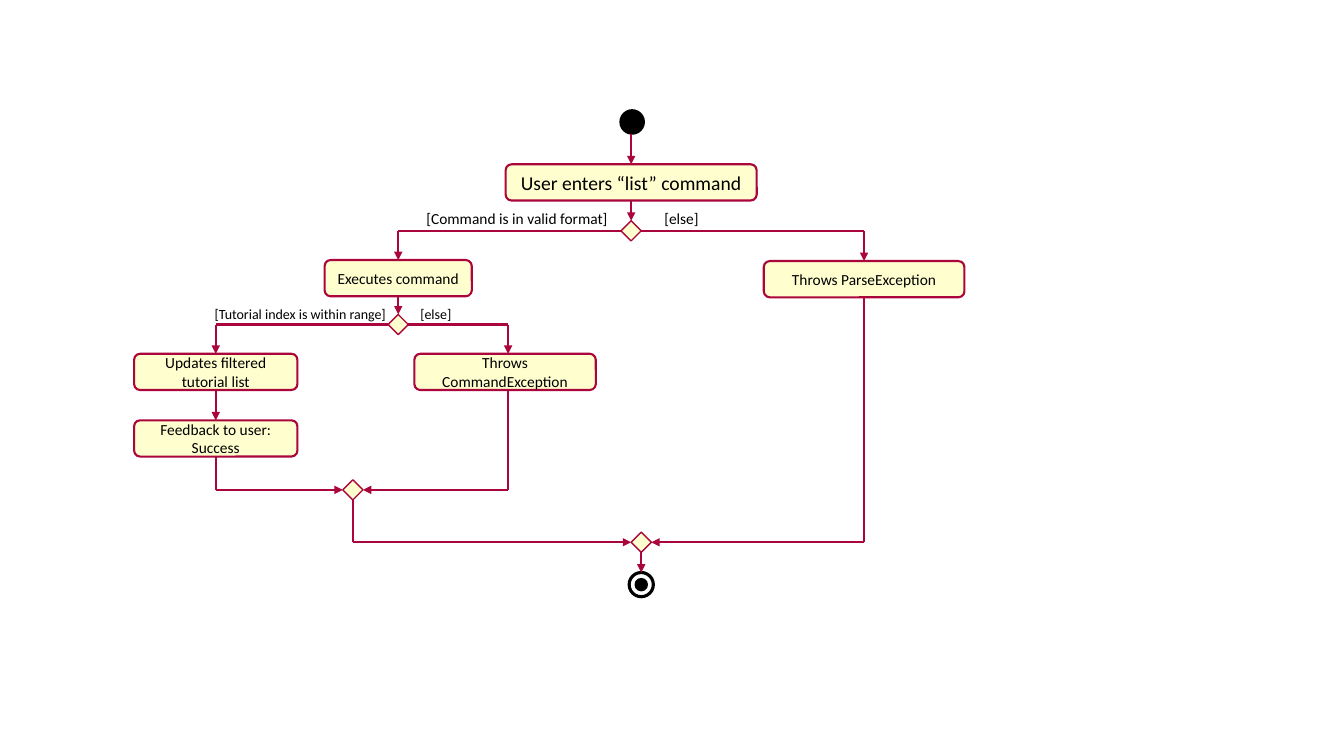
from dataclasses import dataclass
from typing import Any, Optional

from lxml import etree
from pptx import Presentation
from pptx import util as u
from pptx.dml.color import RGBColor
from pptx.enum import shapes as kinds, text
from pptx.oxml.ns import qn

CRIMSON, CREAM, BLACK, WHITE = "AA063B", "FEFECE", "000000", "FFFFFF"
FONT = "Calibri"
TOP, LEFT, BOTTOM, RIGHT = range(4)

# Centre lines of the diagram's grid, in inches
COLUMN = {"success": 2.14, "inner merge": 3.5, "execute": 3.95, "failure": 5.01,
          "failure lane": 5.04, "entry": 6.26, "start": 6.27, "exit": 6.36,
          "parse error": 8.57}
ROW = {"start": 1.21, "input": 1.81, "format check": 2.29, "execution": 2.76,
       "parse error": 2.77, "range check": 3.22, "result": 3.69, "feedback": 4.35,
       "inner merge": 4.86, "outer merge": 5.38, "end": 5.8}
BOX_HEIGHT, DIAMOND_SIZE, CIRCLE_SIZE, DOT_SIZE = 0.36, 0.2, 0.24, 0.12


@dataclass
class Node:
    name: str
    column: str
    row: str
    width: float
    height: float
    kind: Any
    fill: str
    line: str
    line_width: float
    caption: str = ""
    size: int = 11


@dataclass
class Flow:
    source: str
    source_side: int
    target: str
    target_side: int
    lane: Optional[str] = None


@dataclass
class Guard:
    caption: str
    left: float
    top: float
    width: float
    height: float
    size: int


def action(name: str, column: str, row: str, width: float, caption: str, size: int = 11) -> Node:
    return Node(name, column, row, width, BOX_HEIGHT, kinds.MSO_SHAPE.ROUNDED_RECTANGLE,
                CREAM, CRIMSON, 1.5, caption, size)


def diamond(name: str, column: str, row: str) -> Node:
    return Node(name, column, row, DIAMOND_SIZE, DIAMOND_SIZE, kinds.MSO_SHAPE.DIAMOND,
                CREAM, CRIMSON, 1)


def circle(name: str, column: str, row: str, size: float, fill: str,
           line_width: float = 1) -> Node:
    return Node(name, column, row, size, size, kinds.MSO_SHAPE.OVAL, fill, BLACK, line_width)


NODES = [
    circle("start", "start", "start", CIRCLE_SIZE, BLACK),
    action("input", "entry", "input", 2.49, "User enters “list” command", 14),
    diamond("format check", "entry", "format check"),
    action("execute", "execute", "execution", 1.46, "Executes command"),
    action("parse error", "parse error", "parse error", 1.99, "Throws ParseException"),
    diamond("range check", "execute", "range check"),
    action("update", "success", "result", 1.62, "Updates filtered tutorial list"),
    action("command error", "failure", "result", 1.8, "Throws CommandException"),
    action("feedback", "success", "feedback", 1.62, "Feedback to user: Success"),
    diamond("inner merge", "inner merge", "inner merge"),
    diamond("outer merge", "exit", "outer merge"),
    circle("end", "exit", "end", CIRCLE_SIZE, WHITE, 2.25),
    circle("end dot", "exit", "end", DOT_SIZE, BLACK),
]
FLOWS = [
    Flow("start", BOTTOM, "input", TOP, "entry"),
    Flow("input", BOTTOM, "format check", TOP),
    Flow("format check", LEFT, "execute", TOP),
    Flow("format check", RIGHT, "parse error", TOP),
    Flow("execute", BOTTOM, "range check", TOP),
    Flow("range check", LEFT, "update", TOP),
    Flow("range check", RIGHT, "command error", TOP, "failure lane"),
    Flow("update", BOTTOM, "feedback", TOP),
    Flow("feedback", BOTTOM, "inner merge", LEFT),
    Flow("command error", BOTTOM, "inner merge", RIGHT, "failure lane"),
    Flow("inner merge", BOTTOM, "outer merge", LEFT),
    Flow("parse error", BOTTOM, "outer merge", RIGHT),
    Flow("outer merge", BOTTOM, "end", TOP),
]
GUARDS = [
    Guard("[Command is in valid format]", 4.13, 2.03, 2.01, 0.29, 11),
    Guard("[else]", 6.49, 2.03, 0.55, 0.29, 11),
    Guard("[Tutorial index is within range]", 2.03, 2.98, 1.94, 0.27, 10),
    Guard("[else]", 4.07, 2.98, 0.52, 0.27, 10),
]


def color(value: str) -> RGBColor:
    return RGBColor.from_string(value)


def apply(target: Any, values: dict[str, Any]) -> None:
    for name, value in values.items():
        setattr(target, name, value)


def write(frame: Any, caption: str, size: int, alignment: Any, frame_format: dict[str, Any]) -> None:
    apply(frame, frame_format)
    paragraph = frame.paragraphs[0]
    paragraph.alignment = alignment
    run = paragraph.add_run()
    run.text = caption
    apply(run.font, {"name": FONT, "size": u.Pt(size)})
    run.font.color.rgb = color(BLACK)


def draw_node(slide: Any, node: Node) -> Any:
    left = COLUMN[node.column] - node.width / 2
    top = ROW[node.row] - node.height / 2
    shape = slide.shapes.add_shape(node.kind, *map(u.Inches, (left, top, node.width, node.height)))
    shape.shadow.inherit = False
    shape.fill.solid()
    shape.fill.fore_color.rgb = color(node.fill)
    shape.line.color.rgb = color(node.line)
    shape.line.width = u.Pt(node.line_width)
    if node.caption:
        write(shape.text_frame, node.caption, node.size, text.PP_ALIGN.CENTER,
              {"word_wrap": True, "vertical_anchor": text.MSO_ANCHOR.MIDDLE})
    return shape


def draw_guard(slide: Any, guard: Guard) -> None:
    box = slide.shapes.add_textbox(
        *map(u.Inches, (guard.left, guard.top, guard.width, guard.height)))
    write(box.text_frame, guard.caption, guard.size, text.PP_ALIGN.LEFT,
          {"word_wrap": False, "auto_size": text.MSO_AUTO_SIZE.SHAPE_TO_FIT_TEXT})


def side_point(shape: Any, side: int, lane: Optional[str]) -> tuple[int, int]:
    """Middle of a side; on a top or bottom side, the lane's column if one is given."""
    across = {LEFT: 0, RIGHT: shape.width}.get(side, shape.width // 2)
    down = {TOP: 0, BOTTOM: shape.height}.get(side, shape.height // 2)
    if lane and side in (TOP, BOTTOM):
        return u.Inches(COLUMN[lane]), shape.top + down
    return shape.left + across, shape.top + down


def draw_segment(slide: Any, begin: tuple[int, int], end: tuple[int, int], arrow: bool) -> Any:
    connector = slide.shapes.add_connector(kinds.MSO_CONNECTOR.STRAIGHT, *begin, *end)
    connector.line.color.rgb = color(CRIMSON)
    connector.line.width = u.Pt(1.5)
    if arrow:
        etree.SubElement(connector.line._get_or_add_ln(), qn("a:tailEnd"), type="triangle")
    etree.SubElement(connector._element.spPr, qn("a:effectLst"))
    return connector


def draw_flow(slide: Any, flow: Flow, drawn: dict[str, Any]) -> None:
    """Join two nodes with one segment, or with two that meet at a right angle."""
    source, target = drawn[flow.source], drawn[flow.target]
    begin = side_point(source, flow.source_side, flow.lane)
    end = side_point(target, flow.target_side, flow.lane)
    if flow.source_side in (LEFT, RIGHT):
        points = [begin, (end[0], begin[1]), end]
    elif flow.target_side in (LEFT, RIGHT):
        points = [begin, (begin[0], end[1]), end]
    else:
        points = [begin, end]
    segments = [draw_segment(slide, a, b, b == end) for a, b in zip(points, points[1:])]
    if begin == side_point(source, flow.source_side, None):
        segments[0].begin_connect(source, flow.source_side)
    if end == side_point(target, flow.target_side, None):
        segments[-1].end_connect(target, flow.target_side)


def main() -> None:
    presentation = Presentation()
    apply(presentation, {"slide_width": u.Inches(13.33), "slide_height": u.Inches(7.5)})
    slide = presentation.slides.add_slide(presentation.slide_layouts[6])
    drawn = {node.name: draw_node(slide, node) for node in NODES}
    for flow in FLOWS:
        draw_flow(slide, flow, drawn)
    for guard in GUARDS:
        draw_guard(slide, guard)
    presentation.save("out.pptx")


if __name__ == "__main__":
    main()
